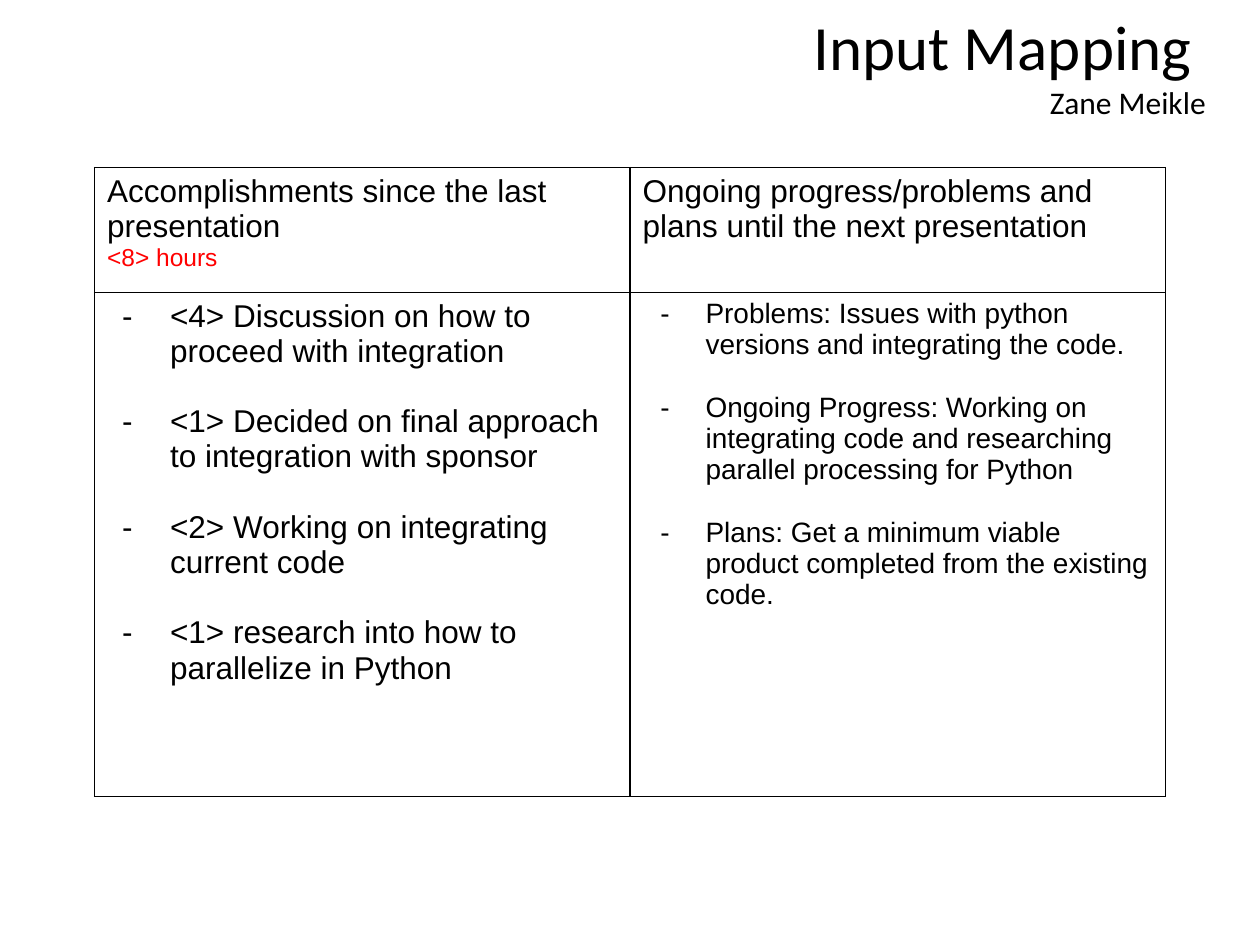
from lxml.etree import SubElement
from pptx import Presentation
from pptx.dml.color import RGBColor
from pptx.enum.text import MSO_ANCHOR, MSO_AUTO_SIZE, PP_ALIGN
from pptx.oxml.ns import qn
from pptx.util import Inches, Pt

COLORS = {"text": "000000", "hours": "FF0000", "border": "000000"}

HEADINGS = [
    [("Accomplishments since the last presentation", 18, "text"),
     ("<8> hours", 14, "hours")],
    [("Ongoing progress/problems and plans until the next presentation", 18, "text")],
]
ACCOMPLISHMENTS = [
    "<4> Discussion on how to proceed with integration",
    "<1> Decided on final approach to integration with sponsor",
    "<2> Working on integrating current code",
    "<1> research into how to parallelize in Python",
]
PLANS = [
    "Problems: Issues with python versions and integrating the code.",
    "Ongoing Progress: Working on integrating code and researching "
    "parallel processing for Python",
    "Plans: Get a minimum viable product completed from the existing code.",
]


def add_text(paragraph, text, size, font="Arial", color="text"):
    run = paragraph.add_run()
    run.text = text
    run.font.name = font
    run.font.size = Pt(size)
    run.font.color.rgb = RGBColor.from_string(COLORS[color])


def next_paragraph(frame, index):
    return frame.add_paragraph() if index else frame.paragraphs[0]


def add_dash(paragraph, hanging):
    properties = paragraph._p.get_or_add_pPr()
    properties.set("marL", str(Inches(0.5)))
    properties.set("indent", str(-Inches(hanging)))
    bullet_color = SubElement(properties, qn("a:buClr"))
    SubElement(bullet_color, qn("a:srgbClr"), val=COLORS["text"])
    SubElement(properties, qn("a:buFont"), typeface="Arial")
    SubElement(properties, qn("a:buChar"), char="-")


def format_cell(cell):
    properties = cell._tc.get_or_add_tcPr()
    for side in ("a:lnL", "a:lnR", "a:lnT", "a:lnB"):
        border = SubElement(properties, qn(side), w=str(Pt(1)))
        fill = SubElement(border, qn("a:solidFill"))
        SubElement(fill, qn("a:srgbClr"), val=COLORS["border"])
    cell.fill.background()


def fill_heading(cell, lines):
    for index, (text, size, color) in enumerate(lines):
        add_text(next_paragraph(cell.text_frame, index), text, size, color=color)


def fill_list(cell, items, size, hanging, gap):
    for index, item in enumerate(items):
        paragraph = next_paragraph(cell.text_frame, index)
        add_dash(paragraph, hanging)
        if index:
            paragraph.space_before = Pt(gap)
        add_text(paragraph, item, size)


def place_title(slide, left, top, width, height):
    title = slide.shapes.title
    title.left, title.top, title.width, title.height = left, top, width, height
    frame = title.text_frame
    frame.auto_size = MSO_AUTO_SIZE.NONE
    frame.vertical_anchor = MSO_ANCHOR.TOP
    for index, (text, size) in enumerate([("Input Mapping ", 36), ("Zane Meikle", 18)]):
        paragraph = next_paragraph(frame, index)
        paragraph.alignment = PP_ALIGN.RIGHT
        add_text(paragraph, text, size, "Calibri")


def place_status_table(slide, left, top, width, height):
    status = slide.shapes.add_table(2, 2, left, top, width, height).table
    status.first_row = False
    status.horz_banding = False
    status.rows[0].height = Inches(0.99)
    status.rows[1].height = height - Inches(0.99)
    for cell in status.iter_cells():
        format_cell(cell)
    for column, lines in enumerate(HEADINGS):
        fill_heading(status.cell(0, column), lines)
    fill_list(status.cell(1, 0), ACCOMPLISHMENTS, 18, 0.38, 20)
    fill_list(status.cell(1, 1), PLANS, 16, 0.36, 18)


def main():
    presentation = Presentation()
    presentation.slide_width = Inches(10)
    presentation.slide_height = Inches(7.5)
    slide = presentation.slides.add_slide(presentation.slide_layouts.get_by_name("Title Only"))
    place_title(slide, Inches(2.42), Inches(0.01), Inches(7.25), Inches(1.01))
    place_status_table(slide, Inches(0.75), Inches(1.33), Inches(8.5), Inches(4.99))
    presentation.save("out.pptx")


if __name__ == "__main__":
    main()
